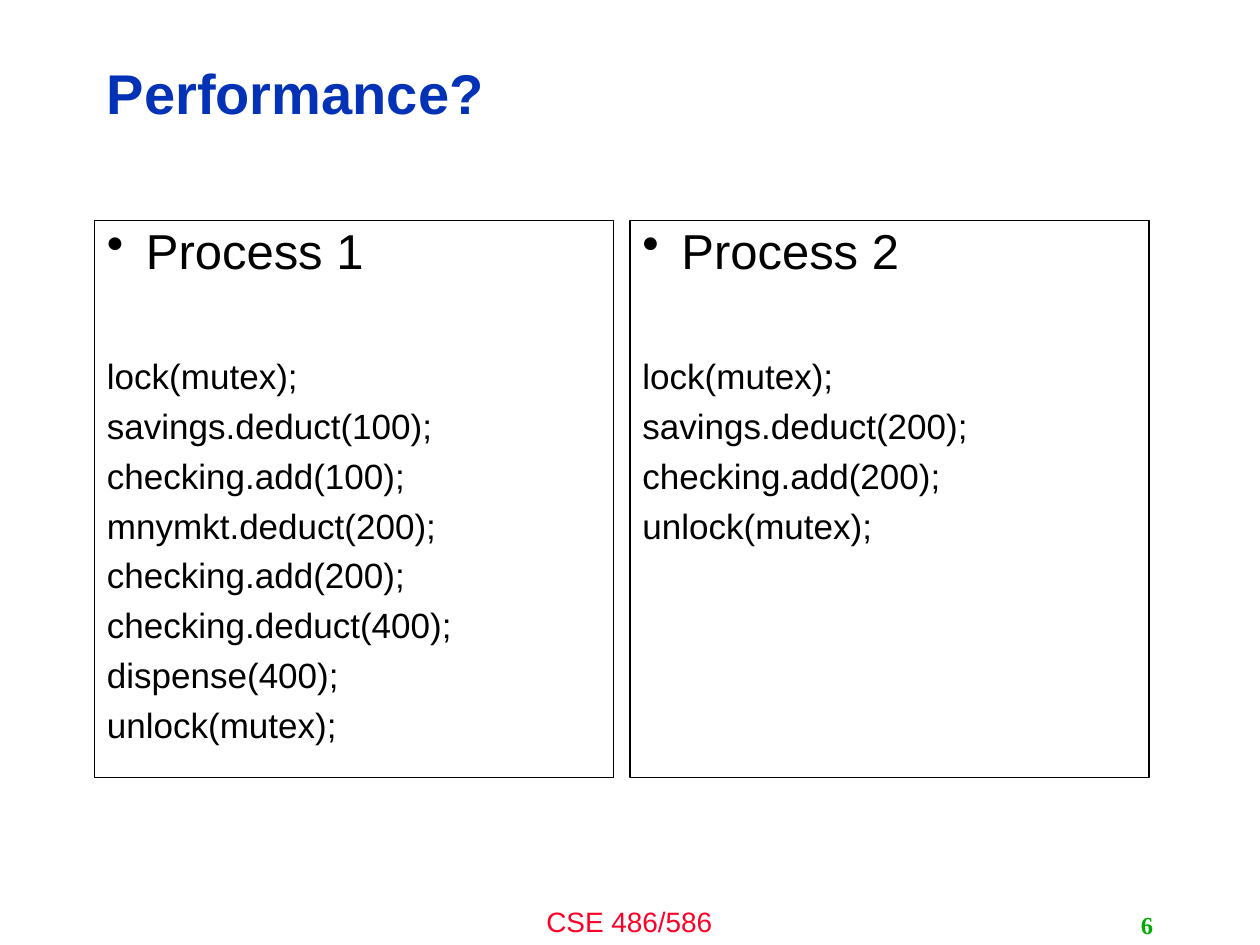
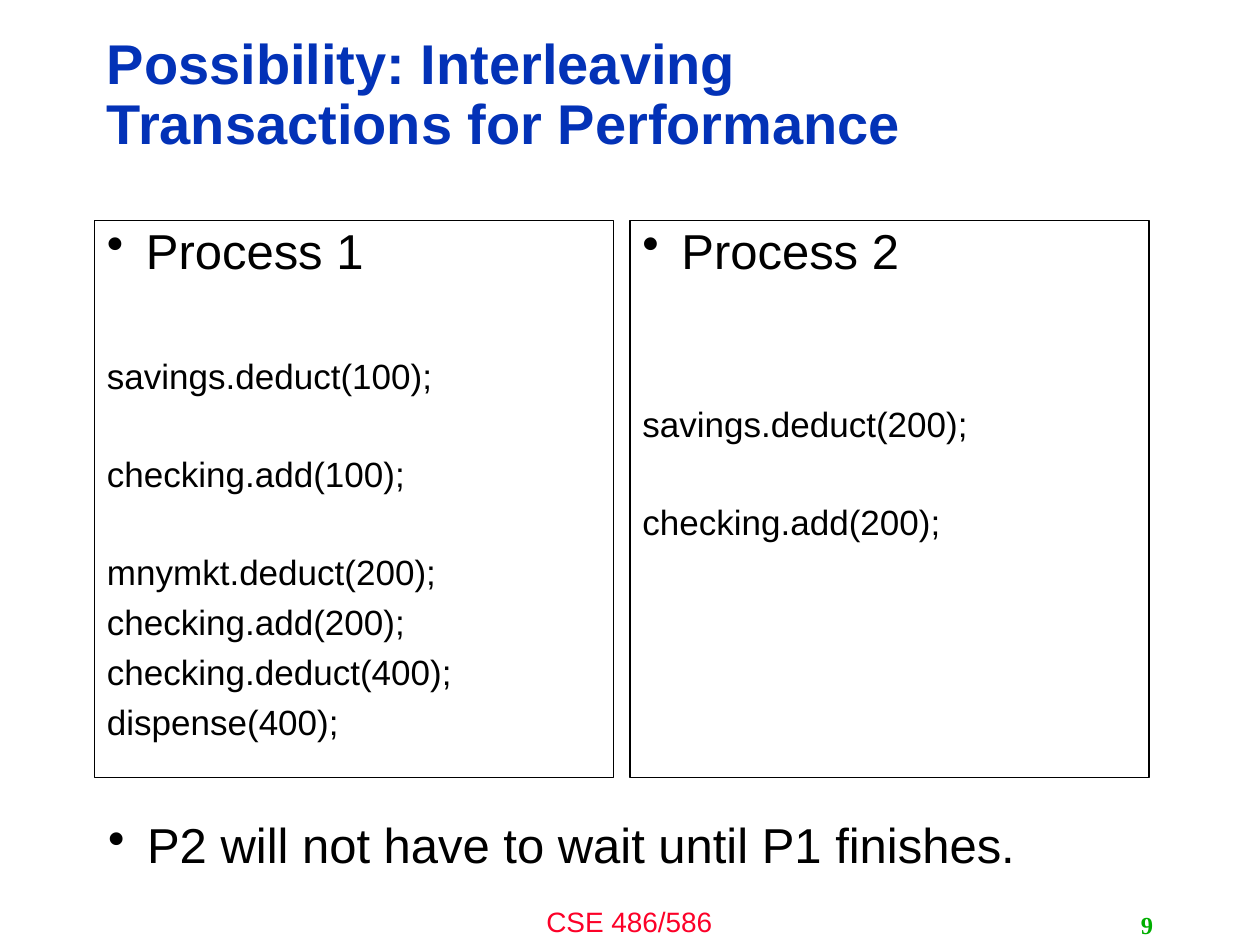
from dataclasses import dataclass

import lxml.etree
import pptx
import pptx.dml.color
import pptx.enum.shapes
import pptx.enum.text
import pptx.oxml.ns
import pptx.util

Inches = pptx.util.Inches
Pt = pptx.util.Pt
Align = pptx.enum.text.PP_ALIGN
Anchor = pptx.enum.text.MSO_ANCHOR


@dataclass(frozen=True)
class Theme:
    sans: str = "Arial"
    serif: str = "Times New Roman"
    title_color: str = "0332B7"
    text_color: str = "000000"
    footer_color: str = "FC0128"
    number_color: str = "00AE00"
    title_size: float = 32
    heading_size: float = 28
    code_size: float = 20
    footer_size: float = 16
    number_size: float = 14
    outline_width: float = 0.75
    line_spacing: float = 0.9
    code_gap: float = 6.9        # points above each code line
    code_row: float = 27.6       # points from one code line to the next
    heading_gap: float = 45.5    # points from a heading to the first code row
    hanging: float = 0.31


@dataclass(frozen=True)
class Box:
    left: float
    top: float
    width: float
    height: float

    def lengths(self):
        return [Inches(v) for v in (self.left, self.top, self.width, self.height)]

    def columns(self, count, gap):
        width = (self.width - gap * (count - 1)) / count
        return [Box(self.left + i * (width + gap), self.top, width, self.height)
                for i in range(count)]


THEME = Theme()
TITLE_BOX = Box(0.75, 0.36, 7.98, 0.81)
PROCESSES_BOX = Box(0.75, 1.75, 8.37, 4.42)
PROCESS_GAP = 0.13
REMARK_BOX = Box(0.76, 6.47, 8.4, 0.53)
FOOTER_BOX = Box(3.33, 7.13, 3.33, 0.37)
NUMBER_BOX = Box(7.17, 7.18, 2.08, 0.32)


def add_frame(slide, box, anchor=Anchor.TOP):
    frame = slide.shapes.add_textbox(*box.lengths()).text_frame
    frame.word_wrap = True
    frame.vertical_anchor = anchor
    return frame


def write(frame, text, size, color=THEME.text_color, font=THEME.sans, bold=False,
          align=Align.LEFT, spacing=THEME.line_spacing, before=0, bullet=False):
    """Fill the frame's empty first paragraph, or append another one."""
    first = frame.paragraphs[0]
    paragraph = frame.add_paragraph() if first.runs else first
    if bullet:
        properties = paragraph._p.get_or_add_pPr()
        properties.set("marL", str(Inches(THEME.hanging)))
        properties.set("indent", str(-Inches(THEME.hanging)))
        mark = lxml.etree.SubElement(properties, pptx.oxml.ns.qn("a:buChar"))
        mark.set("char", "•")
    paragraph.alignment = align
    paragraph.line_spacing = spacing
    paragraph.space_before = Pt(before)
    run = paragraph.add_run()
    run.text = text
    run.font.name = font
    run.font.size = Pt(size)
    run.font.bold = bold
    run.font.color.rgb = pptx.dml.color.RGBColor.from_string(color)


def add_title(slide, box, text):
    write(add_frame(slide, box, Anchor.MIDDLE), text, THEME.title_size,
          color=THEME.title_color, bold=True)


def add_footer(slide, footer_box, number_box, number):
    write(add_frame(slide, footer_box), "CSE 486/586", THEME.footer_size,
          color=THEME.footer_color, align=Align.CENTER, spacing=1.0)
    write(add_frame(slide, number_box, Anchor.MIDDLE), str(number), THEME.number_size,
          color=THEME.number_color, font=THEME.serif, bold=True,
          align=Align.RIGHT, spacing=1.0)


def add_process(slide, box, heading, steps):
    """Outline one process; steps maps a row of the schedule to its statement."""
    panel = slide.shapes.add_shape(pptx.enum.shapes.MSO_SHAPE.RECTANGLE, *box.lengths())
    panel.shadow.inherit = False
    panel.fill.background()
    panel.line.color.rgb = pptx.dml.color.RGBColor.from_string(THEME.text_color)
    panel.line.width = Pt(THEME.outline_width)
    frame = panel.text_frame
    frame.word_wrap = True
    frame.vertical_anchor = Anchor.TOP
    write(frame, heading, THEME.heading_size, bullet=True)
    previous_row = None
    for row, statement in steps.items():
        if previous_row is None:
            before = THEME.heading_gap + row * THEME.code_row
        else:
            before = THEME.code_gap + (row - previous_row - 1) * THEME.code_row
        write(frame, statement, THEME.code_size, before=before)
        previous_row = row


def add_schedule_slide(deck, title, number, schedules, remark=None):
    slide = deck.slides.add_slide(deck.slide_layouts[6])
    add_title(slide, TITLE_BOX, title)
    boxes = PROCESSES_BOX.columns(len(schedules), PROCESS_GAP)
    for index, (box, steps) in enumerate(zip(boxes, schedules), start=1):
        add_process(slide, box, f"Process {index}", steps)
    if remark:
        write(add_frame(slide, REMARK_BOX), remark, THEME.heading_size, bullet=True)
    add_footer(slide, FOOTER_BOX, NUMBER_BOX, number)


def locked(statements):
    return dict(enumerate(["lock(mutex);", *statements, "unlock(mutex);"]))


def main():
    deck = pptx.Presentation()
    deck.slide_width = Inches(10)
    deck.slide_height = Inches(7.5)

    withdrawal = ["savings.deduct(100);", "checking.add(100);", "mnymkt.deduct(200);",
                  "checking.add(200);", "checking.deduct(400);", "dispense(400);"]
    transfer = ["savings.deduct(200);", "checking.add(200);"]

    add_schedule_slide(deck, "Performance?", 6, [locked(withdrawal), locked(transfer)])
    add_schedule_slide(
        deck, "Possibility: Interleaving Transactions for Performance", 9,
        [dict(zip((0, 2, 4, 5, 6, 7), withdrawal)), dict(zip((1, 3), transfer))],
        remark="P2 will not have to wait until P1 finishes.")
    deck.save("out.pptx")


if __name__ == "__main__":
    main()
